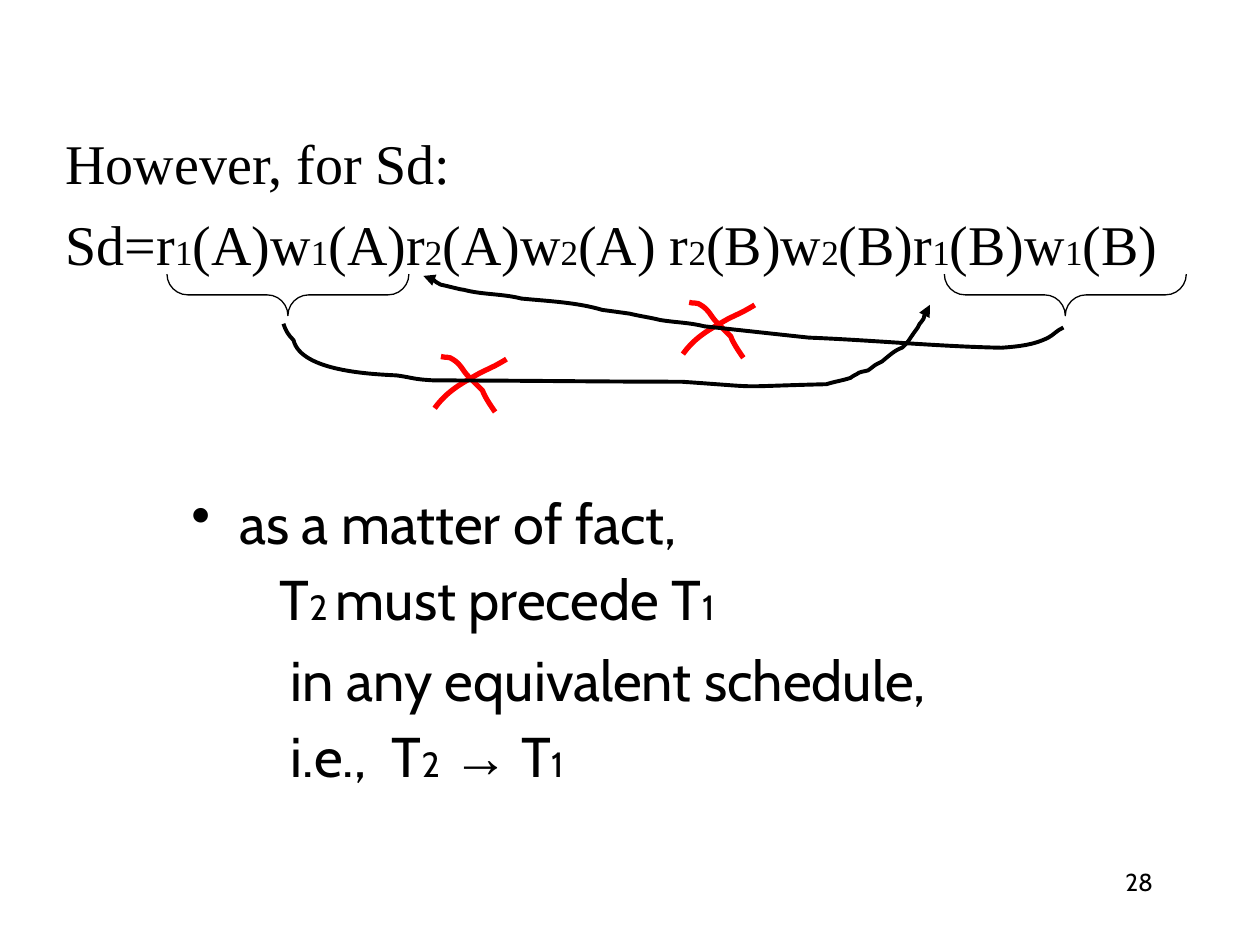
"""Build the slide on the precedence conflict in schedule Sd."""
from dataclasses import dataclass

import lxml.etree
import pptx
import pptx.dml.color
import pptx.enum.shapes
import pptx.enum.text
import pptx.oxml
import pptx.oxml.ns
import pptx.util

PX = 9144
BLACK = "000000"
RED = "FF0000"
SERIF = "Times New Roman"
SANS = "Cabin"
Point = tuple[int, int]


@dataclass(frozen=True)
class Line:
    """A paragraph whose "|" marks switch between full and index size."""

    text: str
    font: str
    size: int = 32
    margin: int = 0
    indent: int = 0
    before: int = 0
    bullet: bool = False


@dataclass(frozen=True)
class Curve:
    """A start point followed by three points for each Bézier segment."""

    points: tuple[Point, ...]
    color: str
    width: float
    arrow: bool = False


SCHEDULE = (
    Line("However, for Sd:", SERIF),
    Line("Sd=r|1|(A)w|1|(A)r|2|(A)w|2|(A) r|2|(B)w|2|(B)r|1|(B)w|1|(B)", SERIF, before=8),
)
CONCLUSION = (
    Line("as a matter of fact,", SANS, margin=38, indent=-38, bullet=True),
    Line("T|2 |must precede T|1", SANS, margin=70, before=5),
    Line("in any equivalent schedule,", SANS, margin=79, before=8),
    Line("i.e.,  T|2| ||→|| T|1", SANS, margin=79, before=5),
)
BACKWARD_ARROW = Curve((
    (844, 260), (839, 262), (836, 266), (832, 268), (820, 274), (808, 275), (795, 276),
    (744, 275), (693, 270), (642, 268), (614, 265), (587, 262), (559, 259),
    (547, 256), (536, 256), (524, 254), (516, 252), (508, 251), (500, 249),
    (493, 248), (478, 246), (478, 246), (458, 240), (435, 239), (414, 237),
    (398, 233), (383, 234), (368, 230), (366, 230), (355, 227), (350, 226),
    (344, 223), (343, 219), (336, 219),
), BLACK, 2.25, True)
FORWARD_ARROW = Curve((
    (225, 257), (227, 263), (229, 266), (233, 270), (239, 295), (296, 297), (315, 298),
    (329, 300), (327, 301), (345, 302), (410, 302), (475, 303), (541, 303),
    (614, 308), (575, 307), (656, 305), (662, 303), (669, 302), (675, 300),
    (676, 299), (678, 298), (680, 297), (682, 295), (686, 295), (689, 294),
    (696, 289), (692, 291), (700, 287), (705, 283), (710, 278), (716, 276),
    (723, 269), (719, 273), (727, 262), (728, 261), (729, 259), (730, 257),
    (731, 256), (733, 253), (733, 253), (734, 251), (734, 248), (735, 246),
    (735, 245), (738, 242), (738, 242),
), BLACK, 2.25, True)
CROSS = (
    Curve((
        (0, 41), (10, 27), (22, 21), (36, 13), (42, 10), (47, 8), (52, 5),
        (54, 4), (57, 2), (57, 2),
    ), RED, 3),
    Curve((
        (5, 0), (8, 1), (12, 0), (14, 2), (21, 6), (22, 11), (27, 16),
        (31, 20), (38, 27), (38, 27), (40, 33), (48, 44), (48, 44),
    ), RED, 3),
)
CROSS_ORIGINS = ((345, 283), (542, 240))
BRACE_LEFTS = (133, 750)


def px(length: int) -> int:
    """Turn pixels into EMU."""
    return pptx.util.Emu(length * PX)


def rgb(color: str) -> pptx.dml.color.RGBColor:
    """Turn a hex string into a colour."""
    return pptx.dml.color.RGBColor.from_string(color)


def place(shape, left: int, top: int, width: int, height: int) -> None:
    """Set the position and size of a shape."""
    shape.left, shape.top = px(left), px(top)
    shape.width, shape.height = px(width), px(height)


def write_lines(shape, lines: tuple[Line, ...], align=pptx.enum.text.PP_ALIGN.LEFT) -> None:
    """Fill a shape with formatted paragraphs."""
    frame = shape.text_frame
    frame.word_wrap = True
    frame.auto_size = pptx.enum.text.MSO_AUTO_SIZE.NONE
    frame.vertical_anchor = pptx.enum.text.MSO_ANCHOR.TOP
    for index, line in enumerate(lines):
        paragraph = frame.paragraphs[0] if index == 0 else frame.add_paragraph()
        paragraph.alignment = align
        paragraph.space_before = pptx.util.Pt(line.before)
        properties = paragraph._p.get_or_add_pPr()
        properties.set("marL", str(px(line.margin)))
        properties.set("indent", str(px(line.indent)))
        tag = pptx.oxml.ns.qn("a:buChar" if line.bullet else "a:buNone")
        bullet = lxml.etree.SubElement(properties, tag)
        if line.bullet:
            bullet.set("char", "•")
        for position, piece in enumerate(line.text.split("|")):
            if piece:
                run = paragraph.add_run()
                run.text = piece
                run.font.name = "Arial" if piece == "→" else line.font
                run.font.size = pptx.util.Pt(20 if position % 2 else line.size)
                run.font.color.rgb = rgb(BLACK)


def style_outline(shape, color: str, width: float) -> None:
    """Leave only a plain outline on a shape."""
    shape.shadow.inherit = False
    shape.fill.background()
    shape.line.color.rgb = rgb(color)
    shape.line.width = pptx.util.Pt(width)


def draw_curve(slide, curve: Curve, origin: Point = (0, 0)) -> None:
    """Draw an open Bézier curve, with an arrowhead if wanted."""
    points = [(x + origin[0], y + origin[1]) for x, y in curve.points]
    builder = slide.shapes.build_freeform(*points[0], scale=PX)
    builder.add_line_segments(points[1:], close=False)
    shape = builder.convert_to_shape()
    style_outline(shape, curve.color, curve.width)
    outline = shape._element.find(".//" + pptx.oxml.ns.qn("a:path"))
    segments = outline.findall(pptx.oxml.ns.qn("a:lnTo"))
    for start in range(0, len(segments), 3):
        bezier = lxml.etree.SubElement(outline, pptx.oxml.ns.qn("a:cubicBezTo"))
        for segment in segments[start:start + 3]:
            bezier.append(segment[0])
            outline.remove(segment)
    if curve.arrow:
        line = shape.line._get_or_add_ln()
        lxml.etree.SubElement(line, pptx.oxml.ns.qn("a:tailEnd"), type="triangle")


def draw_brace(slide, left: int) -> None:
    """Draw a brace that opens upwards under an operation pair."""
    length, depth, top = 192, 33, 217
    brace = slide.shapes.add_shape(
        pptx.enum.shapes.MSO_SHAPE.LEFT_BRACE,
        px(left + (length - depth) // 2), px(top - (length - depth) // 2),
        px(depth), px(length),
    )
    brace.rotation = 270
    brace.adjustments[0] = 0.5
    style_outline(brace, BLACK, 0.75)


def main() -> None:
    """Build and save the presentation."""
    presentation = pptx.Presentation()
    presentation.slide_width, presentation.slide_height = px(1000), px(750)
    slide = presentation.slides.add_slide(presentation.slide_layouts[1])
    title = slide.shapes.title._element
    title.getparent().remove(title)

    number = slide.shapes.add_textbox(px(717), px(683), px(208), px(50))
    write_lines(number, (Line("28", SANS, size=14),), pptx.enum.text.PP_ALIGN.RIGHT)
    body = slide.placeholders[1]
    place(body, 42, 92, 925, 208)
    write_lines(body, SCHEDULE)
    body.text_frame.margin_top = px(10)
    conclusion = slide.shapes.add_textbox(px(142), px(383), px(767), px(333))
    write_lines(conclusion, CONCLUSION)

    for left in BRACE_LEFTS:
        draw_brace(slide, left)
    for origin in CROSS_ORIGINS:
        for stroke in CROSS:
            draw_curve(slide, stroke, origin)
    for arrow in (BACKWARD_ARROW, FORWARD_ARROW):
        draw_curve(slide, arrow)
    presentation.save("out.pptx")


if __name__ == "__main__":
    main()
